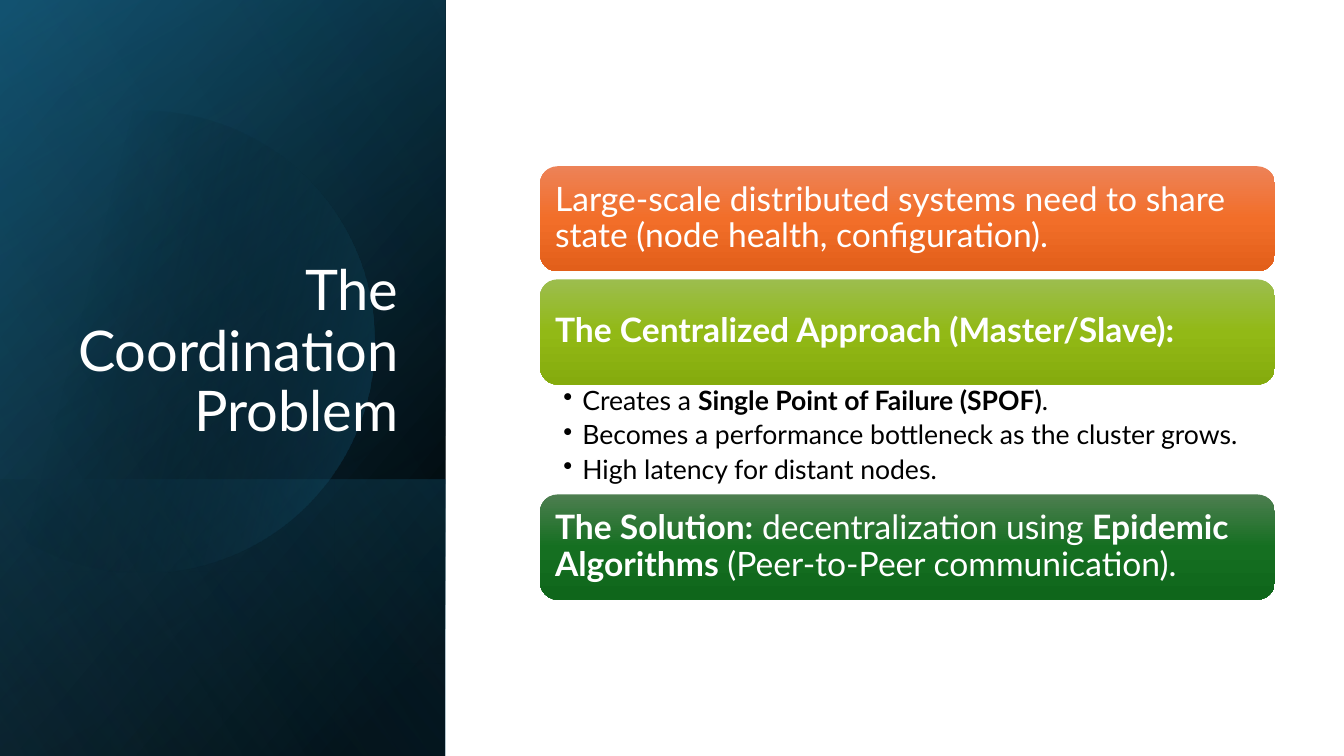
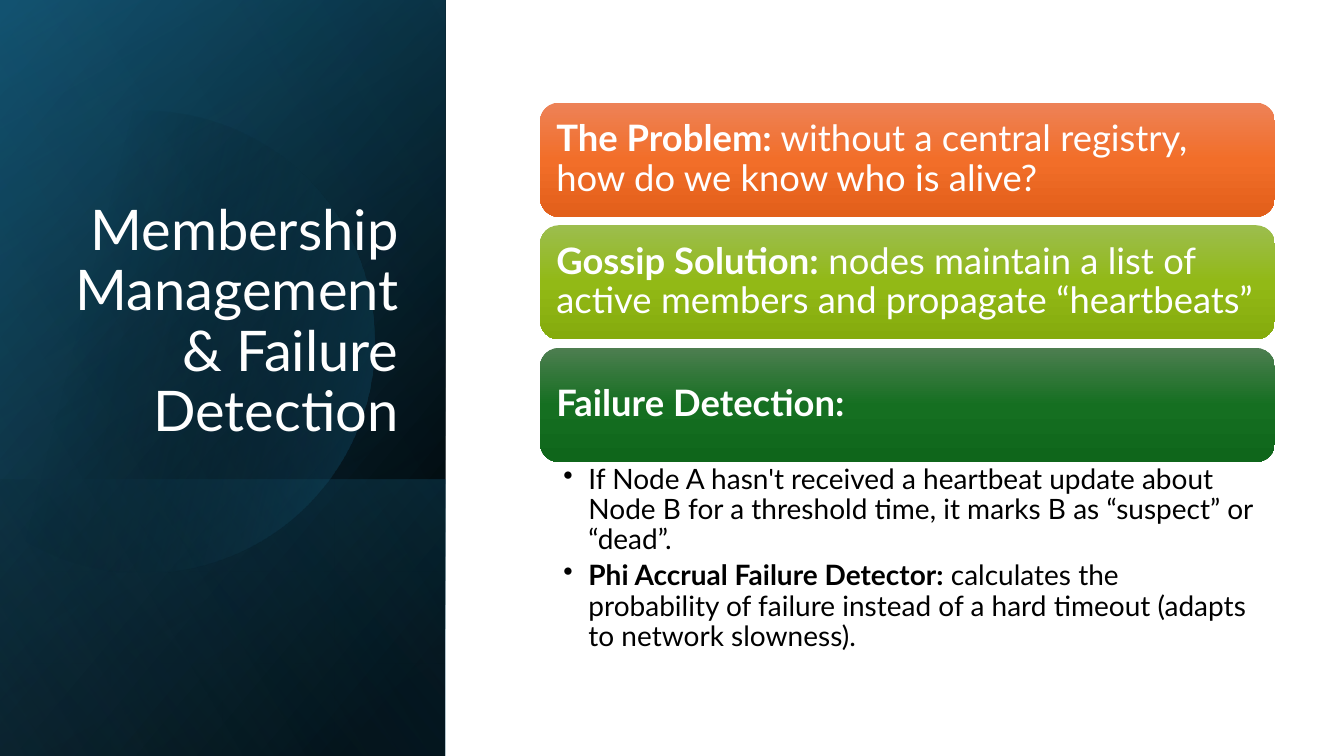
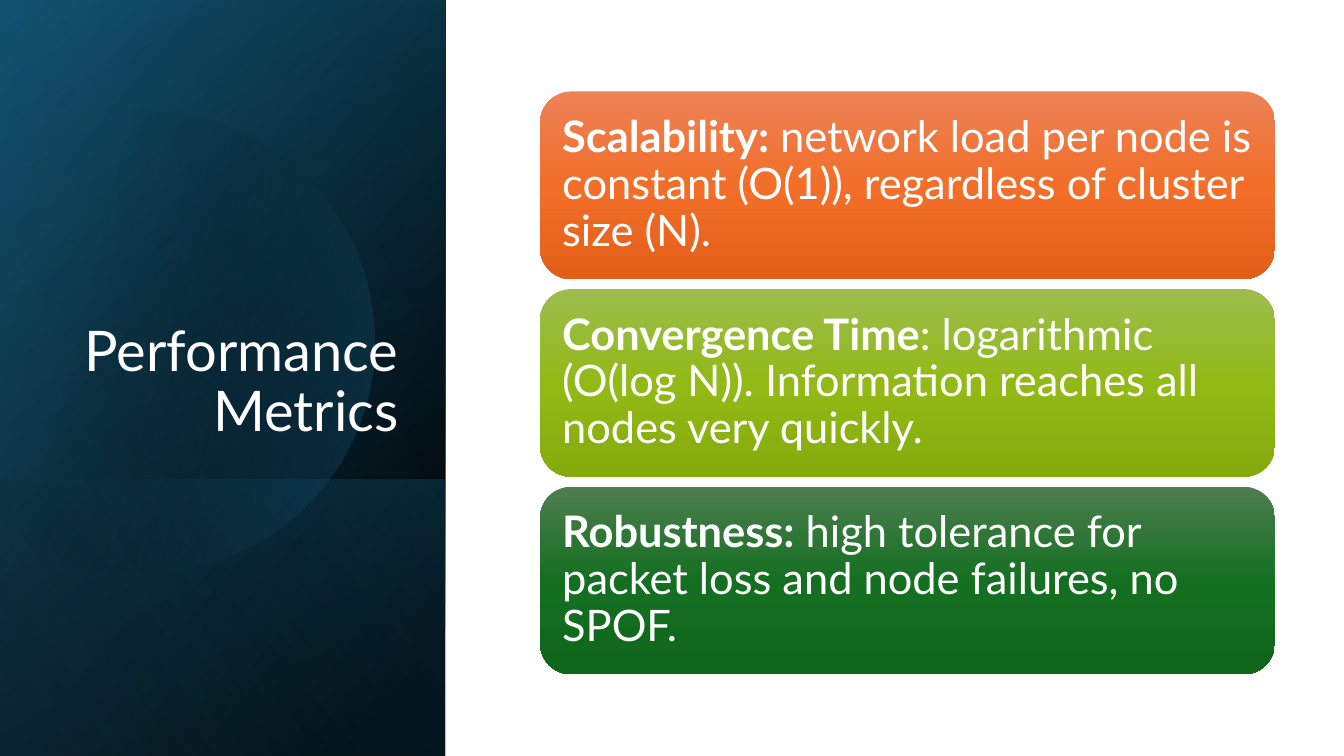
"""Builds three slides on gossip protocols: coordination, membership and metrics."""
from math import acos, cos, sin

from lxml.etree import SubElement
from pptx import Presentation
from pptx.dml.color import RGBColor
from pptx.enum.shapes import MSO_SHAPE as Preset
from pptx.enum.text import MSO_ANCHOR as Anchor, PP_ALIGN as Align
from pptx.oxml.ns import qn
from pptx.util import Cm, Pt

COLORS = {
    "white": "FFFFFF", "black": "000000", "navy": "104862",
    "teal": "156082", "sky": "46B1E1",
}
CARD_STOPS = [
    [(0, "ED8257"), (50, "F26E29"), (100, "E25F1A")],
    [(0, "9CBD4E"), (50, "92B916"), (100, "85AB0D")],
    [(0, "4D7E50"), (50, "156F21"), (100, "0F661B")],
]
FONT = "Lato"
SLIDE_WIDTH, SLIDE_HEIGHT = 33.87, 19.05
PANEL_WIDTH = 11.22
STACK_LEFT, STACK_WIDTH, STACK_MIDDLE = 13.61, 18.52, 9.65


class Deck:
    def __init__(self):
        self.presentation = Presentation()
        self.presentation.slide_width = Cm(SLIDE_WIDTH)
        self.presentation.slide_height = Cm(SLIDE_HEIGHT)
        self.slide = None

    def new_slide(self, title):
        self.slide = self.presentation.slides.add_slide(
            self.presentation.slide_layouts[6])
        black, teal = COLORS["black"], COLORS["teal"]
        self.panel(SLIDE_HEIGHT, [(8, black), (100, COLORS["navy"])], 50)
        self.panel(SLIDE_HEIGHT, [(0, black, 0), (99, teal, 46)], 30)
        self.panel(6.96, [(2, teal, 29), (100, black, 30)], 130)
        self.disc([(29, black, 0), (100, teal, 43)], 14)
        self.panel(SLIDE_HEIGHT, [(0, black, 0), (99, COLORS["sky"], 11)], 120)
        self.title(title)

    def paint(self, shape, stops, angle):
        shape.shadow.inherit = False
        shape.line.fill.background()
        shape.fill.gradient()
        shape.fill.gradient_angle = 360 - angle
        stop_list = shape.element.spPr.find(f".//{qn('a:gsLst')}")
        stop_list.clear()
        for position, color, *opacity in stops:
            stop = SubElement(stop_list, qn("a:gs"), pos=str(position * 1000))
            tint = SubElement(stop, qn("a:srgbClr"), val=color)
            for percent in opacity:
                SubElement(tint, qn("a:alpha"), val=str(percent * 1000))

    def panel(self, height, stops, angle):
        left = (PANEL_WIDTH - height) / 2
        top = SLIDE_HEIGHT - (height + PANEL_WIDTH) / 2
        band = self.slide.shapes.add_shape(
            Preset.RECTANGLE, Cm(left), Cm(top), Cm(height), Cm(PANEL_WIDTH))
        band.rotation = 90
        band.element.spPr.xfrm.set("flipH", "1")
        self.paint(band, stops, angle)

    def disc(self, stops, angle):
        center_x, center_y, radius, cut_x, steps = 3.61, 8.61, 5.82, -0.38, 90
        limit = acos((cut_x - center_x) / radius)
        turns = [limit * (2 * step / steps - 1) for step in range(steps + 1)]
        rim = [(Cm(center_x + radius * cos(turn)), Cm(center_y + radius * sin(turn)))
               for turn in turns]
        outline = self.slide.shapes.build_freeform(*rim[0])
        outline.add_line_segments(rim[1:], close=True)
        self.paint(outline.convert_to_shape(), stops, angle)

    def text_box(self, left, top, width, height):
        return self.slide.shapes.add_textbox(
            Cm(left), Cm(top), Cm(width), Cm(height)).text_frame

    def frame(self, frame, anchor, left, top, right, bottom):
        frame.word_wrap = True
        frame.vertical_anchor = anchor
        frame.margin_left, frame.margin_top = Cm(left), Cm(top)
        frame.margin_right, frame.margin_bottom = Cm(right), Cm(bottom)

    def add_runs(self, paragraph, runs, size, color, align=Align.LEFT):
        paragraph.alignment = align
        paragraph.line_spacing = 0.9
        for text, bold in runs:
            run = paragraph.add_run()
            run.text = text
            run.font.name = FONT
            run.font.size = Pt(size)
            run.font.bold = bold
            run.font.color.rgb = RGBColor.from_string(COLORS[color])

    def title(self, text):
        heading = self.text_box(1.63, 4.67, 8.66, 6.65)
        self.frame(heading, Anchor.BOTTOM, 0.25, 0.13, 0.25, 0.13)
        self.add_runs(heading.paragraphs[0], [(text, False)], 40, "white", Align.RIGHT)

    def card(self, top, height, stops, runs, size, inset):
        card = self.slide.shapes.add_shape(
            Preset.ROUNDED_RECTANGLE,
            Cm(STACK_LEFT), Cm(top), Cm(STACK_WIDTH), Cm(height))
        self.paint(card, stops, 90)
        self.frame(card.text_frame, Anchor.MIDDLE, inset, inset, inset, inset)
        self.add_runs(card.text_frame.paragraphs[0], runs, size, "white")

    def bullets(self, top, height, items, size, indent):
        details = self.text_box(STACK_LEFT, top, STACK_WIDTH, height)
        self.frame(details, Anchor.TOP, 0.59, 0.08, 0.48, 0.08)
        for index, runs in enumerate(items):
            item = details.add_paragraph() if index else details.paragraphs[0]
            properties = item._p.get_or_add_pPr()
            properties.set("marL", str(Cm(indent)))
            properties.set("indent", str(-Cm(indent)))
            SubElement(properties, qn("a:buChar"), char="•")
            item.space_after = Pt(4)
            self.add_runs(item, runs, size, "black")

    def stack(self, cards, size, inset, height, gap, details=None):
        after, details_height, items, item_size, indent = details or (None, 0, [], 0, 0)
        gaps = [0 if index == after else gap for index in range(len(cards) - 1)]
        total = len(cards) * height + sum(gaps) + details_height
        top = STACK_MIDDLE - total / 2
        for index, (runs, stops) in enumerate(zip(cards, CARD_STOPS)):
            self.card(top, height, stops, runs, size, inset)
            top += height
            if index == after:
                self.bullets(top, details_height, items, item_size, indent)
                top += details_height
            else:
                top += gap


def main():
    deck = Deck()

    deck.new_slide("The Coordination Problem")
    drawbacks = [
        [("Creates a ", False), ("Single Point of Failure (SPOF)", True), (".", False)],
        [("Becomes a performance bottleneck as the cluster grows.", False)],
        [("High latency for distant nodes.", False)],
    ]
    deck.stack([
        [("Large-scale distributed systems need to share state "
          "(node health, configuration).", False)],
        [("The Centralized Approach (Master/Slave):", True)],
        [("The Solution:", True), (" decentralization using ", False),
         ("Epidemic Algorithms", True), (" (Peer-to-Peer communication).", False)],
    ], 24, 0.25, 2.65, 0.2, (1, 2.77, drawbacks, 19, 0.48))

    deck.new_slide("Membership Management & Failure Detection")
    detection = [
        [("If Node A hasn't received a heartbeat update about Node B for a "
          "threshold time, it marks B as “suspect” or “dead”.", False)],
        [("Phi Accrual Failure Detector:", True),
         (" calculates the probability of failure instead of a hard timeout "
          "(adapts to network slowness).", False)],
    ]
    deck.stack([
        [("The Problem:", True),
         (" without a central registry, how do we know who is alive?", False)],
        [("Gossip Solution:", True),
         (" nodes maintain a list of active members and propagate “heartbeats”", False)],
        [("Failure Detection:", True)],
    ], 26, 0.27, 2.88, 0.21, (2, 5.07, detection, 20, 0.63))

    deck.new_slide("Performance Metrics")
    deck.stack([
        [("Scalability:", True),
         (" network load per node is constant (O(1)), regardless of cluster "
          "size (N).", False)],
        [("Convergence Time", True),
         (": logarithmic (O(log N)). Information reaches all nodes very "
          "quickly.", False)],
        [("Robustness:", True),
         (" high tolerance for packet loss and node failures, no SPOF.", False)],
    ], 31, 0.33, 4.73, 0.25)

    deck.presentation.save("out.pptx")


if __name__ == "__main__":
    main()
